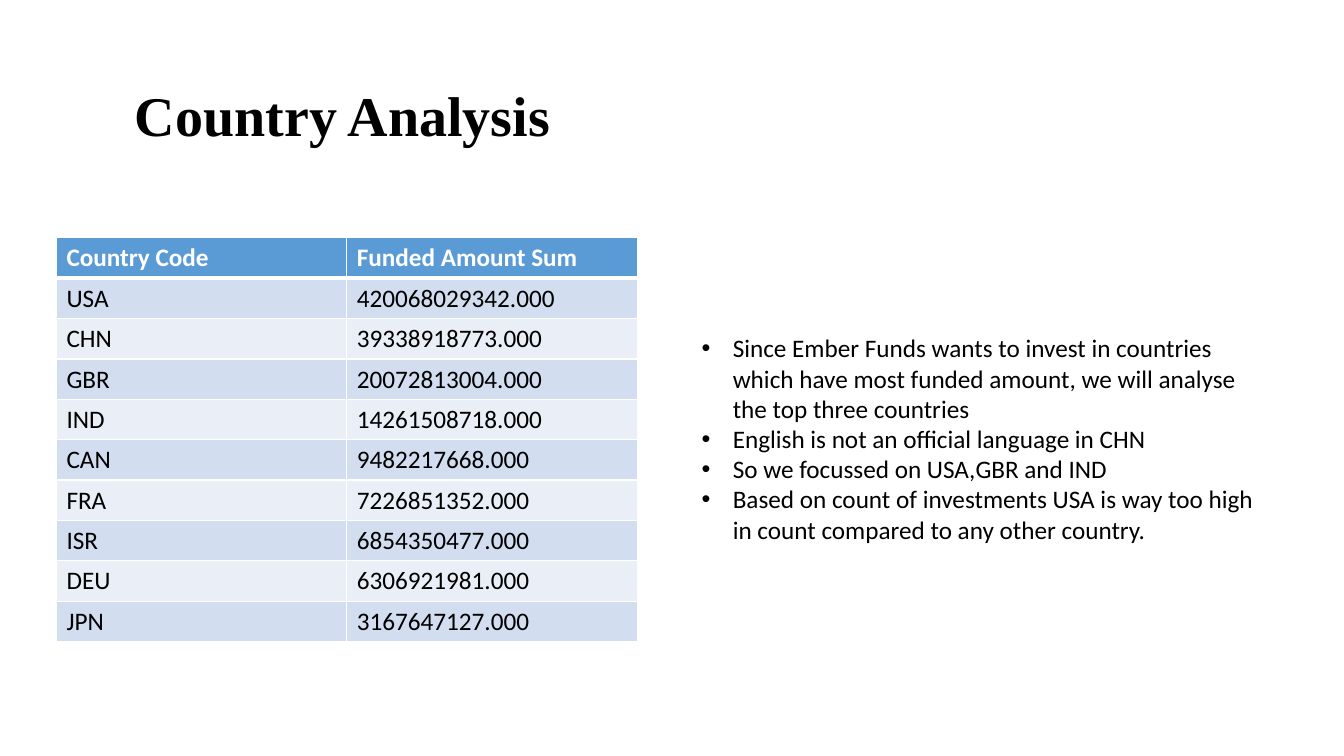
from lxml import etree
from pptx import Presentation
from pptx.dml.color import RGBColor
from pptx.enum.text import MSO_ANCHOR
from pptx.oxml.ns import qn
from pptx.util import Pt

MIDDLE = MSO_ANCHOR.MIDDLE
TOP = MSO_ANCHOR.TOP

TITLE = "Country Analysis"
HEADER = ("Country Code", "Funded Amount Sum")
FUNDING = [
    ("USA", "420068029342.000"),
    ("CHN", "39338918773.000"),
    ("GBR", "20072813004.000"),
    ("IND", "14261508718.000"),
    ("CAN", "9482217668.000"),
    ("FRA", "7226851352.000"),
    ("ISR", "6854350477.000"),
    ("DEU", "6306921981.000"),
    ("JPN", "3167647127.000"),
]
FINDINGS = [
    "Since Ember Funds wants to invest in countries which have most funded amount, "
    "we will analyse the top three countries",
    "English is not an official language in CHN",
    "So we focussed on USA,GBR and IND",
    "Based on count of investments USA is way too high in count compared to any other country.",
]

COLORS = {
    "text": "000000",
    "white": "FFFFFF",
    "header": "5B9BD5",
    "odd": "D2DEEF",
    "even": "EAEFF7",
}
EMU_PER_PX = 9144
SLIDE_SIZE = (1333, 750)
TITLE_BOX = (124, 70, 1019, 94)
TABLE_BOX = (56, 236, 576, 400)
FINDINGS_BOX = (686, 325, 576, 222)
BULLET_INDENT = 31


def px(length):
    return length * EMU_PER_PX


def write(paragraph, text, font="Calibri", size=18, color="text", bold=False):
    run = paragraph.add_run()
    run.text = text
    run.font.name = font
    run.font.size = Pt(size)
    run.font.bold = bold
    run.font.color.rgb = RGBColor.from_string(COLORS[color])


def add_text_frame(slide, box, anchor):
    frame = slide.shapes.add_textbox(*map(px, box)).text_frame
    frame.word_wrap = True
    frame.vertical_anchor = anchor
    return frame


def add_bullet(paragraph):
    properties = paragraph._p.get_or_add_pPr()
    properties.set("marL", str(px(BULLET_INDENT)))
    properties.set("indent", str(-px(BULLET_INDENT)))
    etree.SubElement(properties, qn("a:buFont"), typeface="Arial")
    etree.SubElement(properties, qn("a:buChar"), char="•")


def set_borders(cell, top, bottom):
    properties = cell._tc.get_or_add_tcPr()
    for side, width in (("L", 1), ("R", 1), ("T", top), ("B", bottom)):
        line = etree.SubElement(properties, qn(f"a:ln{side}"), w=str(Pt(width)))
        fill = etree.SubElement(line, qn("a:solidFill"))
        etree.SubElement(fill, qn("a:srgbClr"), val=COLORS["white"])


def add_funding_table(slide):
    rows = [HEADER, *FUNDING]
    table = slide.shapes.add_table(len(rows), len(HEADER), *map(px, TABLE_BOX)).table
    for row_index, values in enumerate(rows):
        is_header = row_index == 0
        band = "header" if is_header else ("even", "odd")[row_index % 2]
        for column_index, value in enumerate(values):
            cell = table.cell(row_index, column_index)
            set_borders(cell, 3 if row_index == 1 else 1, 3 if is_header else 1)
            cell.fill.solid()
            cell.fill.fore_color.rgb = RGBColor.from_string(COLORS[band])
            write(cell.text_frame.paragraphs[0], value,
                  color="white" if is_header else "text", bold=is_header)


def add_findings(slide):
    frame = add_text_frame(slide, FINDINGS_BOX, TOP)
    for index, finding in enumerate(FINDINGS):
        paragraph = frame.add_paragraph() if index else frame.paragraphs[0]
        add_bullet(paragraph)
        write(paragraph, finding)


def main():
    presentation = Presentation()
    presentation.slide_width, presentation.slide_height = map(px, SLIDE_SIZE)
    slide = presentation.slides.add_slide(presentation.slide_layouts[6])

    title = add_text_frame(slide, TITLE_BOX, MIDDLE).paragraphs[0]
    title.line_spacing = 0.9
    write(title, TITLE, font="Times New Roman", size=40, bold=True)
    add_funding_table(slide)
    add_findings(slide)
    presentation.save("out.pptx")


if __name__ == "__main__":
    main()
